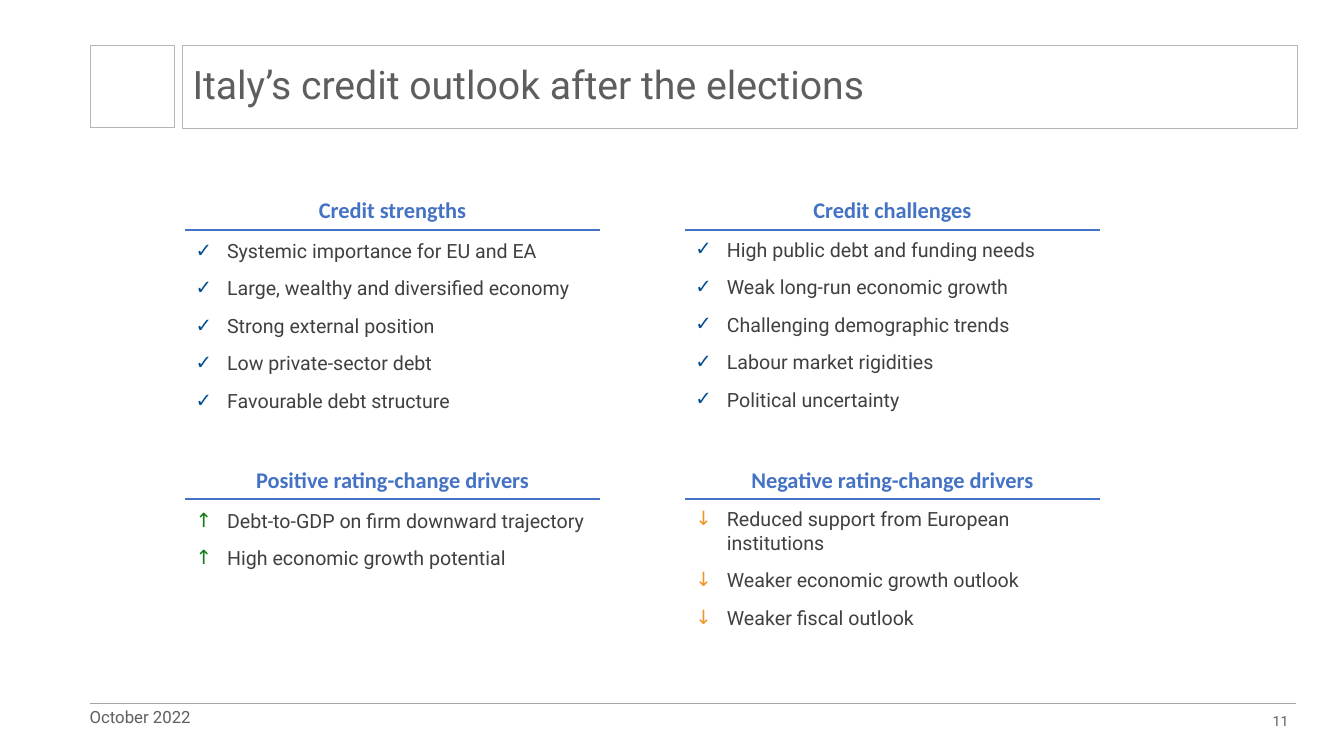
import pptx
import pptx.dml.color
import pptx.enum.shapes
import pptx.enum.text
import pptx.util
from lxml import etree
from pptx.oxml.ns import qn

Pt = pptx.util.Pt
ALIGN = pptx.enum.text.PP_ALIGN
ANCHOR = pptx.enum.text.MSO_ANCHOR


def colour(value):
    return pptx.dml.color.RGBColor.from_string(value)


def write_text(paragraph, text, size=14, font="Roboto", color="404040", bold=False,
               align=ALIGN.LEFT, before=0, after=0, spacing=1.0):
    paragraph.text = text
    paragraph.alignment = align
    paragraph.space_before = Pt(before)
    paragraph.space_after = Pt(after)
    paragraph.line_spacing = spacing
    paragraph.font.size = Pt(size)
    paragraph.font.name = font
    paragraph.font.bold = bold
    paragraph.font.color.rgb = colour(color)


def add_bullet(paragraph, symbol, color, indent=22.5):
    properties = paragraph._p.get_or_add_pPr()
    properties.set("marL", str(Pt(indent)))
    properties.set("indent", str(-Pt(indent)))
    bullet_color = etree.SubElement(properties, qn("a:buClr"))
    etree.SubElement(bullet_color, qn("a:srgbClr"), val=color)
    etree.SubElement(properties, qn("a:buFont"), typeface="Roboto")
    etree.SubElement(properties, qn("a:buChar"), char=symbol)


class SlideBuilder:
    GREY = "5F6062"
    FRAME = "B4B6B7"
    ACCENT = "4472C4"

    def __init__(self, slide):
        self.slide = slide

    def place(self, shape, left, top, width, height):
        shape.left, shape.top = Pt(left), Pt(top)
        shape.width, shape.height = Pt(width), Pt(height)

    def frame(self, shape, anchor, margins=None):
        text_frame = shape.text_frame
        text_frame.word_wrap = True
        text_frame.auto_size = pptx.enum.text.MSO_AUTO_SIZE.NONE
        text_frame.vertical_anchor = anchor
        if margins is not None:
            text_frame.margin_left = text_frame.margin_right = Pt(margins)
            text_frame.margin_top = text_frame.margin_bottom = Pt(margins)
        return text_frame

    def outline(self, shape, color, width):
        shape.line.color.rgb = colour(color)
        shape.line.width = Pt(width)

    def box(self, left, top, width, height, color, line_width):
        shape = self.slide.shapes.add_shape(
            pptx.enum.shapes.MSO_SHAPE.RECTANGLE, Pt(left), Pt(top), Pt(width), Pt(height))
        shape.shadow.inherit = False
        shape.fill.background()
        self.outline(shape, color, line_width)
        return shape

    def rule(self, left, top, width, color, line_width):
        line = self.slide.shapes.add_connector(
            pptx.enum.shapes.MSO_CONNECTOR.STRAIGHT,
            Pt(left), Pt(top), Pt(left + width), Pt(top))
        self.outline(line, color, line_width)
        etree.SubElement(line._element.spPr, qn("a:effectLst"))

    def title(self, text, left, top, width, height):
        shape = self.slide.shapes.title
        self.place(shape, left, top, width, height)
        self.outline(shape, self.FRAME, 0.25)
        text_frame = self.frame(shape, ANCHOR.MIDDLE)
        write_text(text_frame.paragraphs[0], text, size=28, color="5F5E5E", spacing=0.9)

    def label(self, text, left, top, width, height, anchor, margins=None, **style):
        shape = self.slide.shapes.add_textbox(Pt(left), Pt(top), Pt(width), Pt(height))
        text_frame = self.frame(shape, anchor, margins)
        write_text(text_frame.paragraphs[0], text, color=self.GREY, **style)

    def heading(self, text, left, top, width, height):
        shape = self.box(left, top, width, height, "FFFFFF", 1)
        text_frame = self.frame(shape, ANCHOR.MIDDLE)
        write_text(text_frame.paragraphs[0], text, size=16, font="Calibri",
                   color=self.ACCENT, bold=True, align=ALIGN.CENTER)

    def bullets(self, placeholder, items, symbol, color, left, top, width, height):
        self.place(placeholder, left, top, width, height)
        text_frame = self.frame(placeholder, ANCHOR.TOP)
        for index, item in enumerate(items):
            paragraph = text_frame.paragraphs[0] if index == 0 else text_frame.add_paragraph()
            add_bullet(paragraph, symbol, color)
            write_text(paragraph, item, before=5 if index else 0, after=5)


CHECK = ("✓", "004D8F")
UP = ("↑", "107A13")
DOWN = ("↓", "F29526")

# Row, column, heading, bullet style, items
SECTIONS = [
    (0, 0, "Credit strengths", CHECK, [
        "Systemic importance for EU and EA",
        "Large, wealthy and diversified economy",
        "Strong external position",
        "Low private-sector debt",
        "Favourable debt structure"]),
    (0, 1, "Credit challenges", CHECK, [
        "High public debt and funding needs",
        "Weak long-run economic growth",
        "Challenging demographic trends",
        "Labour market rigidities",
        "Political uncertainty"]),
    (1, 0, "Positive rating-change drivers", UP, [
        "Debt-to-GDP on firm downward trajectory",
        "High economic growth potential"]),
    (1, 1, "Negative rating-change drivers", DOWN, [
        "Reduced support from European institutions",
        "Weaker economic growth outlook",
        "Weaker fiscal outlook"]),
]
COLUMN_LEFTS = (132.5, 489.5)
LIST_WIDTHS = (312, 296)
LIST_OFFSETS = (33, 32)
ROW_TOPS = (134, 326.7)
LIST_HEIGHTS = (163.5, 125)
HEADING_WIDTH = 296


def main():
    presentation = pptx.Presentation()
    presentation.slide_width, presentation.slide_height = Pt(960), Pt(540)
    comparison_layout = presentation.slide_layouts[4]
    slide = presentation.slides.add_slide(comparison_layout)
    builder = SlideBuilder(slide)

    # Title band
    builder.box(64.8, 32.4, 60, 59, builder.FRAME, 0.75)
    builder.title("Italy’s credit outlook after the elections", 130.3, 32.4, 796.3, 59)

    # Four sections
    bodies = [shape for shape in slide.placeholders if shape.placeholder_format.idx > 0]
    for body, (row, column, heading, (symbol, color), items) in zip(bodies, SECTIONS):
        left, top = COLUMN_LEFTS[column], ROW_TOPS[row]
        builder.heading(heading, left, top, HEADING_WIDTH, 31.7)
        builder.rule(left, top + 30, HEADING_WIDTH, builder.ACCENT, 1.5)
        builder.bullets(body, items, symbol, color, left, top + LIST_OFFSETS[column],
                        LIST_WIDTHS[column], LIST_HEIGHTS[row])

    # Footer
    builder.rule(64, 502.5, 862, "A6A6A6", 0.5)
    builder.label("October 2022", 64, 507.6, 188, 11.5, ANCHOR.TOP, margins=0,
                  size=12, after=12, spacing=0.8)
    builder.label("11", 711.4, 500.4, 216, 28.8, ANCHOR.MIDDLE, size=10, align=ALIGN.RIGHT)

    presentation.save("out.pptx")


if __name__ == "__main__":
    main()
